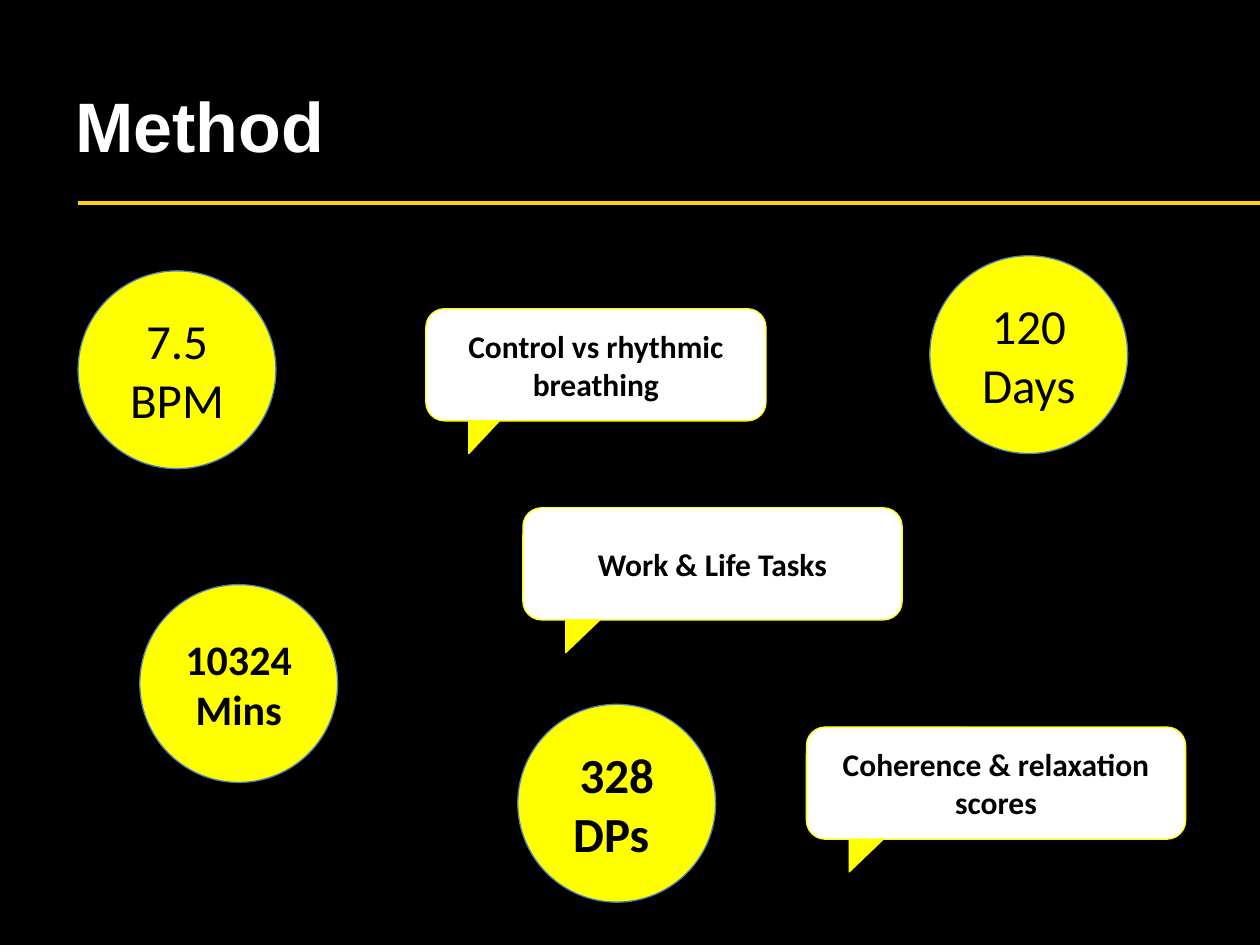
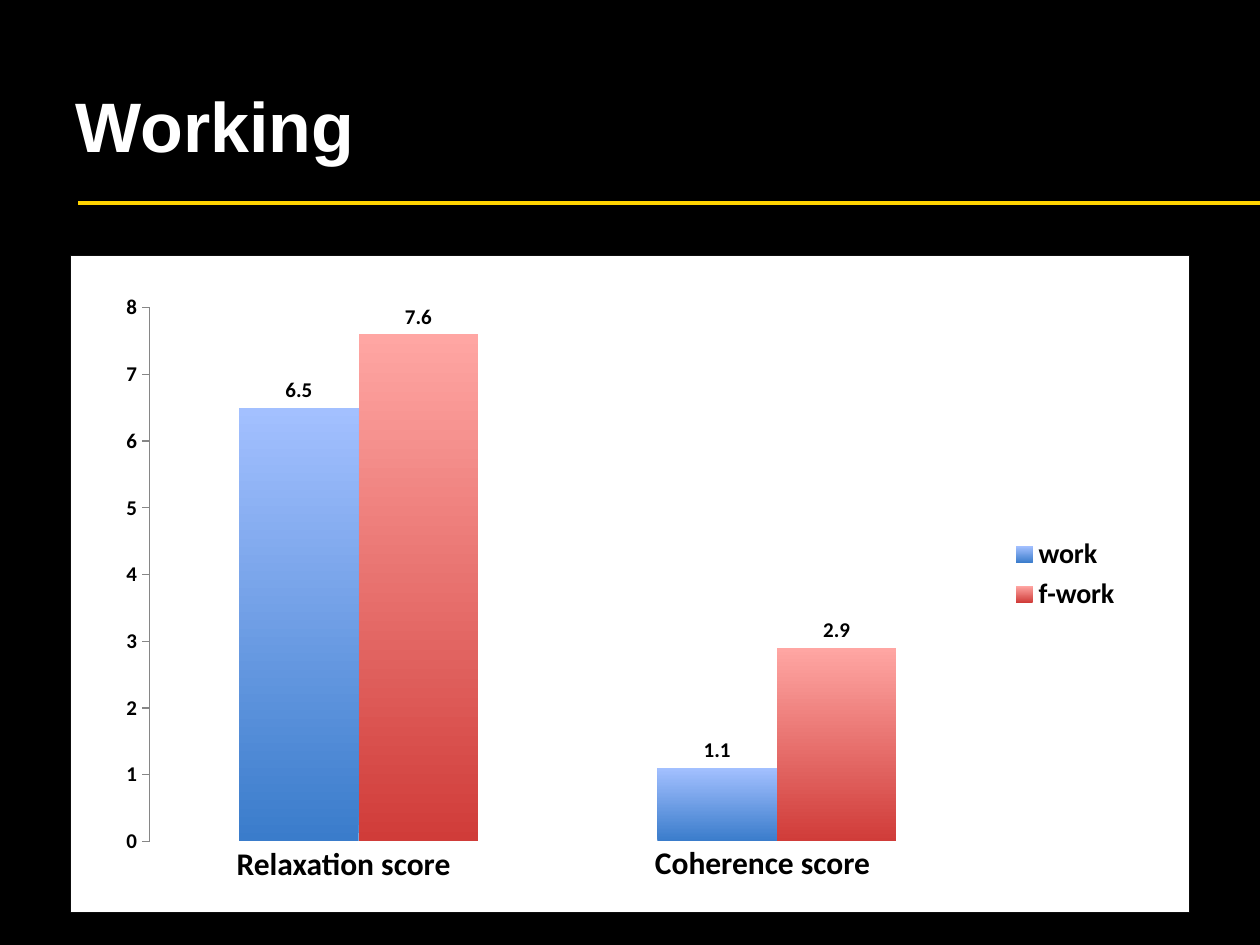
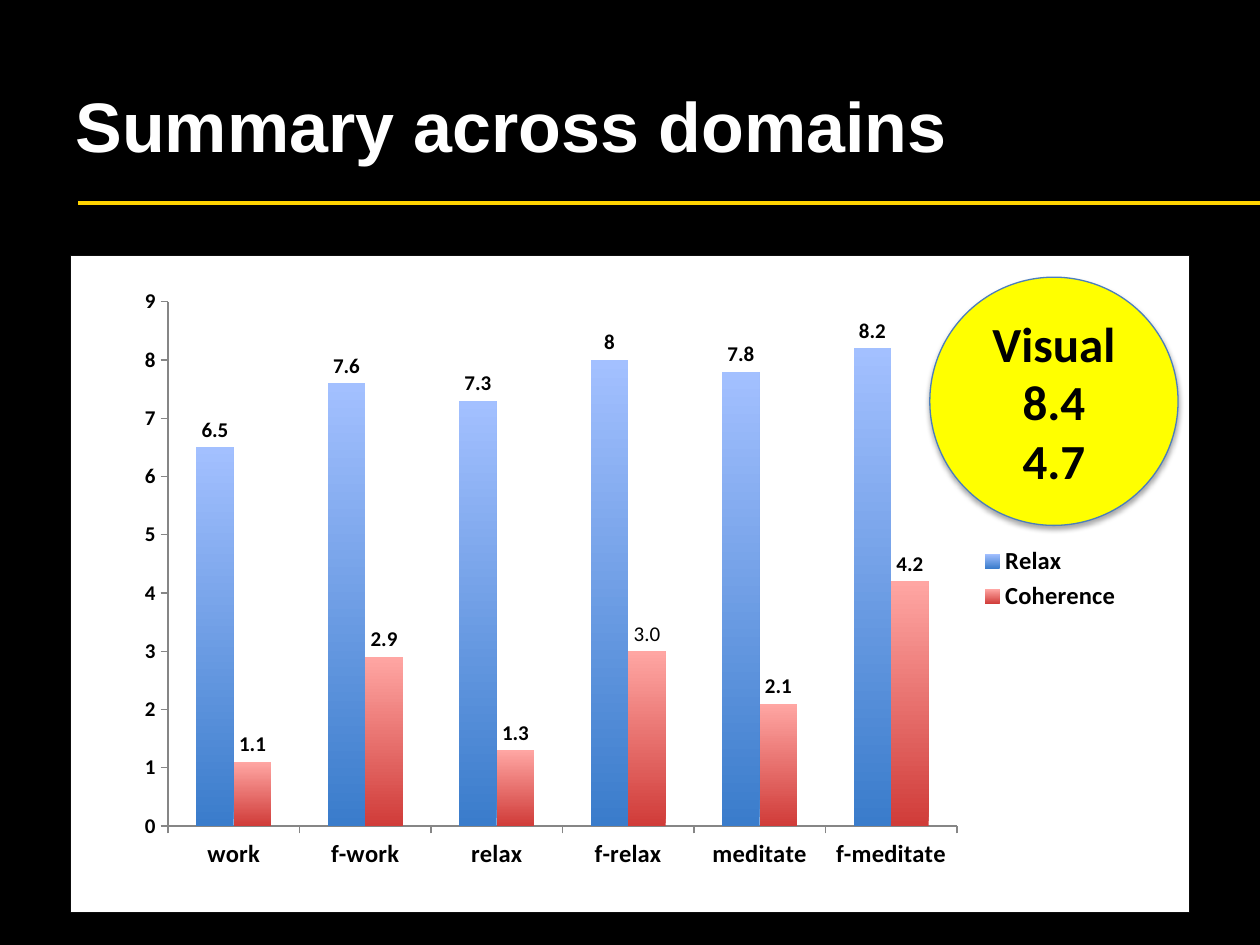
from lxml import etree
from pptx import Presentation
from pptx import util as u
from pptx.chart import data as chart_data
from pptx.dml import color as dml
from pptx.enum import chart as charts, shapes, text
from pptx.oxml import ns

YELLOW, GOLD, WHITE, BLACK = "FFFF00", "FFD300", "FFFFFF", "000000"
BLUE_EDGE, PANEL_EDGE, AXIS_GREY = "4B7EBC", "0D0D0D", "868686"
BAR_GRADIENTS = [("3A7CCB", "A3C0FF"), ("D03C39", "FFA6A3")]


def color(value):
    return dml.RGBColor.from_string(value)


def write(shape, lines, look, ink=BLACK, align=text.PP_ALIGN.CENTER):
    frame = shape.text_frame
    frame.word_wrap = True
    for index, line in enumerate(lines):
        para = frame.paragraphs[0] if index == 0 else frame.add_paragraph()
        para.alignment = align
        span = para.add_run()
        span.text = line
        span.font.color.rgb = color(ink)
        for name, value in look.items():
            setattr(span.font, name, value)


TITLE_LOOK = {"name": "Arial", "size": u.Pt(40), "bold": True}
CALLOUT_LOOK = {"name": "Calibri", "size": u.Pt(18), "bold": True}

deck = Presentation()
deck.slide_width, deck.slide_height = u.Inches(10), u.Inches(7.5)
background = deck.slide_master.background.fill
background.solid()
background.fore_color.rgb = color(BLACK)

pages = []
for heading in ["Method", "Working", "Summary across domains"]:
    page = deck.slides.add_slide(deck.slide_layouts[5])
    title = page.shapes.title
    title.left, title.top = u.Inches(0.5), u.Inches(0.36)
    title.width, title.height = u.Inches(9), u.Inches(1.25)
    title.text_frame.vertical_anchor = text.MSO_ANCHOR.MIDDLE
    write(title, [heading], TITLE_LOOK, WHITE, text.PP_ALIGN.LEFT)
    rule = page.shapes.add_connector(
        shapes.MSO_CONNECTOR.STRAIGHT,
        u.Inches(0.62), u.Inches(1.61), u.Inches(10), u.Inches(1.61))
    rule.line.color.rgb = color(GOLD)
    rule.line.width = u.Pt(2)
    etree.SubElement(rule._element.spPr, ns.qn("a:effectLst"))
    pages.append(page)
method, working, summary = pages

callouts = [
    (3.38, 2.45, 2.7, "Control vs rhythmic breathing"),
    (4.15, 4.03, 3.01, "Work & Life Tasks"),
    (6.4, 5.77, 3.01, "Coherence & relaxation scores"),
]
for left, top, width, words in callouts:
    box = method.shapes.add_shape(
        shapes.MSO_SHAPE.ROUNDED_RECTANGLE,
        u.Inches(left), u.Inches(top), u.Inches(width), u.Inches(0.89))
    tail = method.shapes.add_shape(
        shapes.MSO_SHAPE.RIGHT_TRIANGLE,
        u.Inches(left + 0.34), u.Inches(top + 0.89),
        u.Inches(width * 0.09), u.Inches(0.26))
    tail.rotation = 180
    tail._element.spPr.xfrm.set("flipH", "1")
    for part, fill in [(box, WHITE), (tail, YELLOW)]:
        part.shadow.inherit = False
        part.fill.solid()
        part.fill.fore_color.rgb = color(fill)
        part.line.color.rgb = color(YELLOW)
        part.line.width = u.Pt(0.75)
    write(box, [words], CALLOUT_LOOK)

score_charts = [
    (working, (0.84, 2.25, 8.16, 4.62), ["1", "2"],
     {"work": [6.5, 1.1], "f-work": [7.6, 2.9]}, 16),
    (summary, (0.99, 2.2, 8.01, 4.79),
     ["work", "f-work", "relax", "f-relax", "meditate", "f-meditate"],
     {"Relax": [6.5, 7.6, 7.3, 8, 7.8, 8.2],
      "Coherence": [1.1, 2.9, 1.3, 3, 2.1, 4.2]}, 14),
]
built_charts = []
for page, place, categories, scores, legend_size in score_charts:
    panel = page.shapes.add_shape(
        shapes.MSO_SHAPE.RECTANGLE,
        u.Inches(0.56), u.Inches(2.03), u.Inches(8.88), u.Inches(5.21))
    panel.fill.solid()
    panel.fill.fore_color.rgb = color(WHITE)
    panel.line.color.rgb = color(PANEL_EDGE)
    panel.line.width = u.Pt(0.75)

    data = chart_data.CategoryChartData()
    data.categories = categories
    for name, values in scores.items():
        data.add_series(name, values)
    chart = page.shapes.add_chart(
        charts.XL_CHART_TYPE.COLUMN_CLUSTERED,
        *[u.Inches(length) for length in place], data).chart
    chart.has_title = False
    chart.has_legend = True
    chart.legend.position = charts.XL_LEGEND_POSITION.RIGHT
    chart.legend.include_in_layout = False
    plot = chart.plots[0]
    plot.gap_width = 150
    plot.overlap = 0
    plot.vary_by_categories = False
    chart.value_axis.has_major_gridlines = False
    fonts = [(chart.font, 10, False), (chart.legend.font, legend_size, True)]
    for axis, size in [(chart.value_axis, 12), (chart.category_axis, 14)]:
        axis.major_tick_mark = charts.XL_TICK_MARK.OUTSIDE
        axis.format.line.color.rgb = color(AXIS_GREY)
        fonts.append((axis.tick_labels.font, size, True))
    for series, gradient in zip(plot.series, BAR_GRADIENTS):
        fill = series.format.fill
        fill.gradient()
        fill.gradient_angle = 90
        for stop, shade in zip(fill.gradient_stops, gradient):
            stop.color.rgb = color(shade)
        labels = series.data_labels
        labels.show_value = True
        labels.position = charts.XL_LABEL_POSITION.OUTSIDE_END
        fonts.append((labels.font, 12, True))
    for font, size, bold in fonts:
        look = {"name": "Calibri", "size": u.Pt(size), "bold": bold}
        for name, value in look.items():
            setattr(font, name, value)
        font.color.rgb = color(BLACK)
    built_charts.append(chart)

working_chart, summary_chart = built_charts
working_chart.category_axis.visible = False
for left, top, words in [(1.78, 6.65, "Relaxation score"), (5.1, 6.64, "Coherence score")]:
    caption = working.shapes.add_textbox(
        u.Inches(left), u.Inches(top), u.Inches(2.17), u.Inches(0.4))
    write(caption, [words], CALLOUT_LOOK, align=text.PP_ALIGN.LEFT)

relax_label = summary_chart.plots[0].series[1].points[3].data_label
label_span = relax_label.text_frame.paragraphs[0].add_run()
label_span.text = "3.0"
label_span.font.size = u.Pt(12)
label_span.font.bold = False
relax_label.position = charts.XL_LABEL_POSITION.OUTSIDE_END

circles = [
    (method, 0.62, 2.15, 1.57, ["7.5 BPM"], 28, False),
    (method, 7.38, 2.03, 1.57, ["120", "Days"], 28, False),
    (method, 1.11, 4.64, 1.57, ["10324", "Mins"], 24, True),
    (method, 4.11, 5.59, 1.57, ["328", "DPs "], 28, True),
    (summary, 7.38, 2.2, 1.97, ["Visual", "8.4", "4.7"], 28, True),
]
for page, left, top, diameter, lines, size, bold in circles:
    circle = page.shapes.add_shape(
        shapes.MSO_SHAPE.OVAL,
        u.Inches(left), u.Inches(top), u.Inches(diameter), u.Inches(diameter))
    circle.fill.solid()
    circle.fill.fore_color.rgb = color(YELLOW)
    circle.line.color.rgb = color(BLUE_EDGE)
    circle.line.width = u.Pt(0.75)
    write(circle, lines, {"name": "Calibri", "size": u.Pt(size), "bold": bold})

deck.save("out.pptx")
